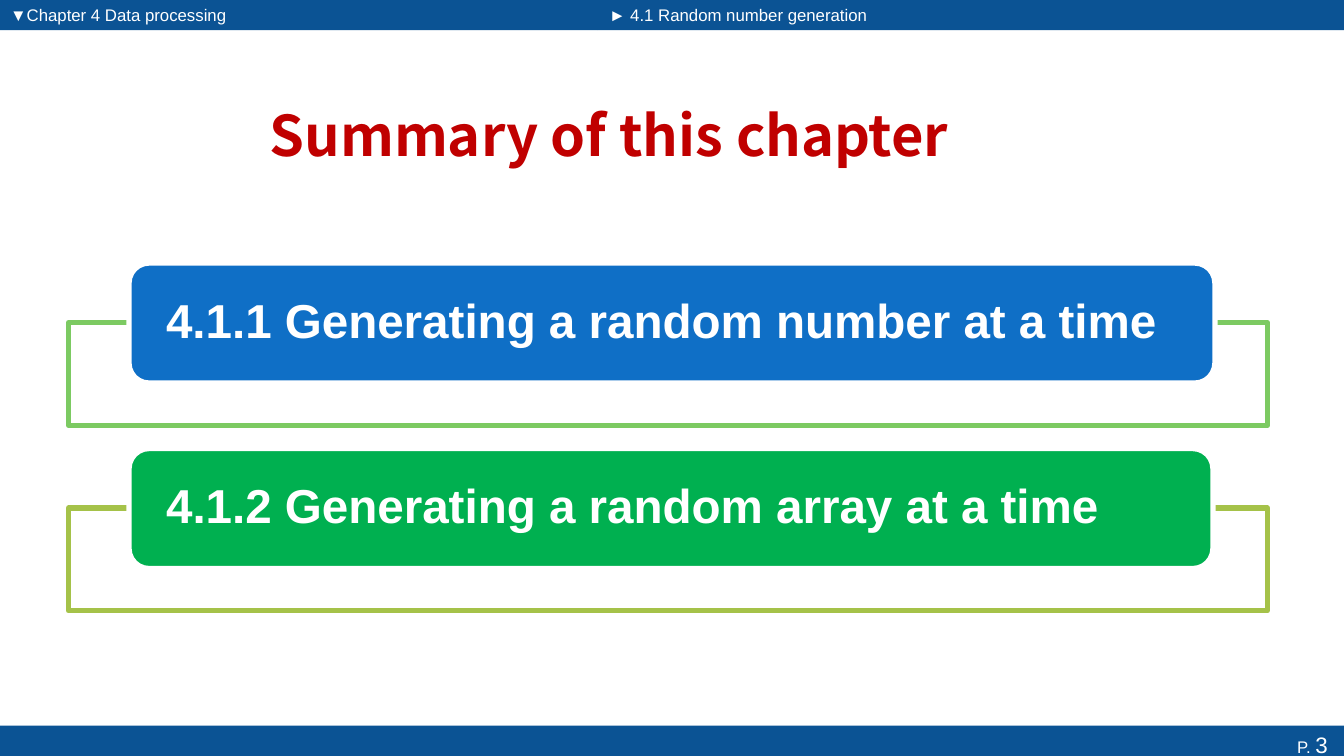
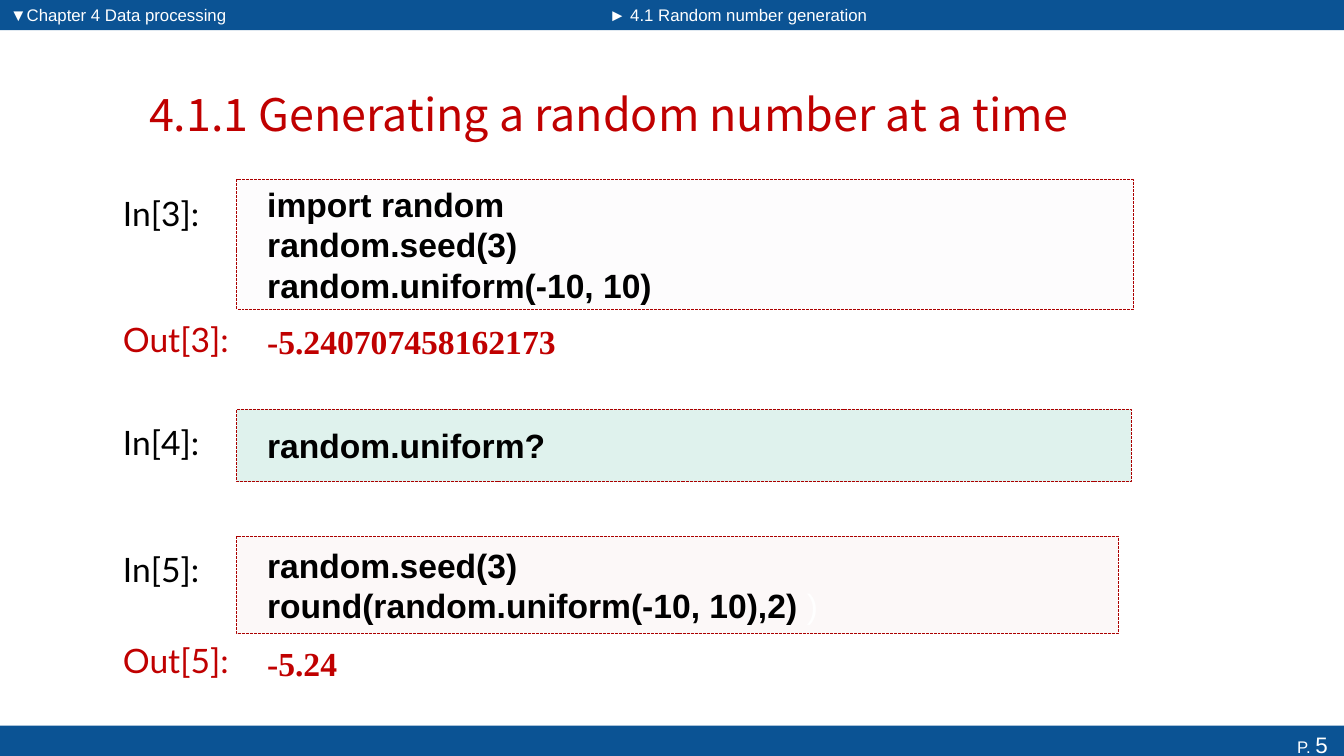
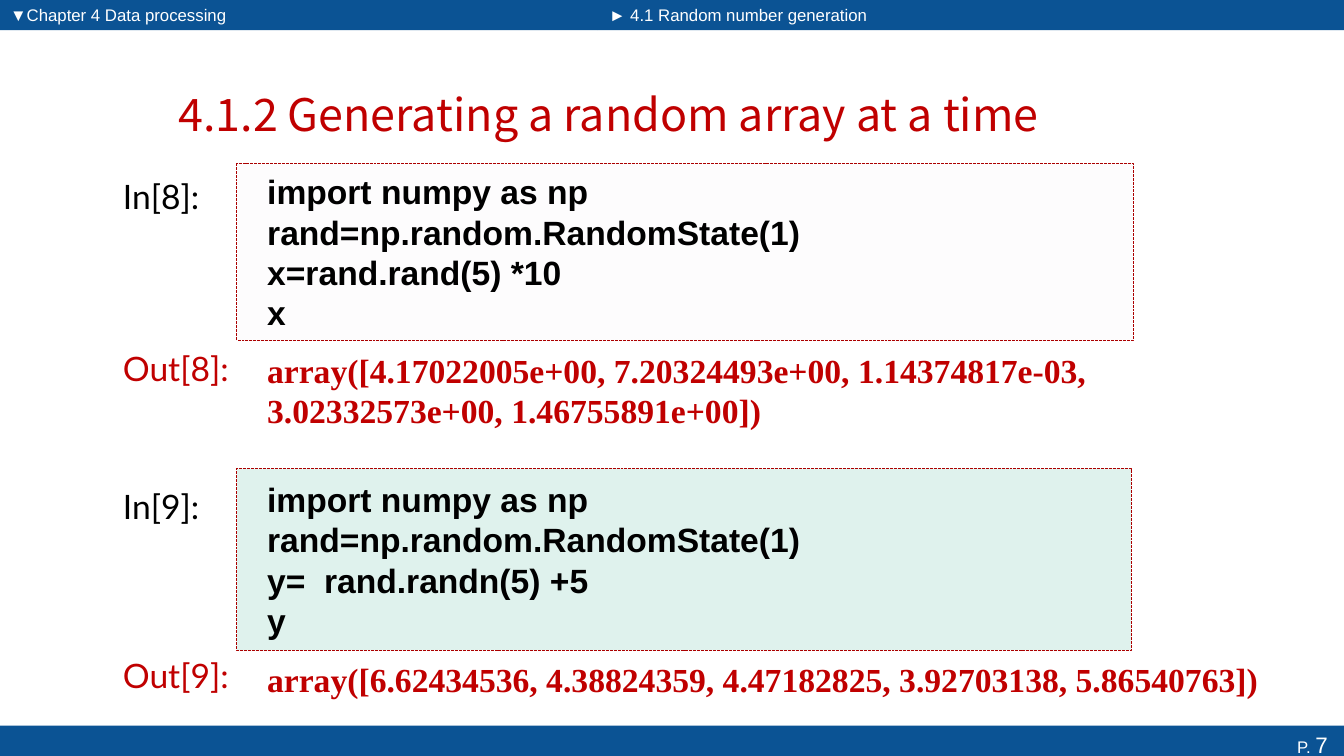
from lxml import etree
from pptx import Presentation
from pptx.dml.color import RGBColor
from pptx.enum.dml import MSO_LINE
from pptx.enum.shapes import MSO_SHAPE as SHAPE
from pptx.enum.text import MSO_ANCHOR as ANCHOR, MSO_AUTO_SIZE as AUTO, PP_ALIGN as ALIGN
from pptx.oxml.ns import qn
from pptx.util import Inches, Pt

NAVY = RGBColor(0x0B, 0x53, 0x94)
BLUE = RGBColor(0x0F, 0x6F, 0xC6)
GREEN = RGBColor(0x00, 0xB0, 0x50)
LIME = RGBColor(0x7C, 0xCA, 0x62)
OLIVE = RGBColor(0xA5, 0xC2, 0x49)
RED = RGBColor(0xC0, 0x00, 0x00)
DARK_RED = RGBColor(0xAB, 0x00, 0x00)
LILAC = RGBColor(0xF1, 0xEE, 0xF4)
TEAL = RGBColor(0x0C, 0x9B, 0x74)
PINK = RGBColor(0xED, 0xCD, 0xCB)
BLACK = RGBColor(0x00, 0x00, 0x00)
WHITE = RGBColor(0xFF, 0xFF, 0xFF)

SANS, LABEL, HEADING, SERIF = "Arial", "Lato", "Noto Sans CJK SC", "Times New Roman"
CODE_LEFT = 2.35
CODE_INSETS = (0.3, 0.05, 0.1, 0.05)


def write(tf, lines, size=24, font=SANS, color=BLACK, bold=False, align=ALIGN.LEFT,
          anchor=ANCHOR.TOP, insets=(0.1, 0.05, 0.1, 0.05), spacing=None, plain=False):
    """Fill a frame; a line is a string or a list of (text, changed format) runs."""
    tf.word_wrap = True
    tf.auto_size = AUTO.NONE
    tf.vertical_anchor = anchor
    tf.margin_left, tf.margin_top, tf.margin_right, tf.margin_bottom = map(Inches, insets)
    for i, line in enumerate(lines):
        p = tf.paragraphs[0] if i == 0 else tf.add_paragraph()
        if plain:  # drop the bullet and indent of the body placeholder
            pPr = p._p.get_or_add_pPr()
            pPr.set("marL", "0")
            pPr.set("indent", "0")
            etree.SubElement(pPr, qn("a:buNone"))
            p.space_before = Pt(0)
        p.alignment = align
        if spacing:
            p.line_spacing = spacing
        for text, change in [(line, {})] if isinstance(line, str) else line:
            r = p.add_run()
            r.text = text
            r.font.name = font
            r.font.size = Pt(change.get("size", size))
            r.font.bold = change.get("bold", bold)
            r.font.color.rgb = change.get("color", color)


class Deck:
    def __init__(self):
        self.prs = Presentation()
        self.prs.slide_width, self.prs.slide_height = Inches(13.33), Inches(7.5)
        self.s = None

    def slide(self, title, page, top=0.68, size=32, bold=False):
        self.s = self.prs.slides.add_slide(self.prs.slide_layouts[3])
        # Bands, behind the placeholders
        bands = [self.box(0, 0, 5.93, 0.3, NAVY), self.box(5.93, 0, 7.4, 0.3, NAVY),
                 self.box(0, 7.2, 13.33, 0.37, NAVY)]
        for i, sp in enumerate(bands):
            self.s.shapes.element.insert(2 + i, sp.element)
        write(bands[-1].text_frame, [[("P. ", {}), (f"{page} ", {"size": 16})]],
              size=12, color=WHITE, align=ALIGN.RIGHT)
        # Title and breadcrumbs
        heading, chapter, section = self.s.placeholders
        self.place(heading, 0.68, top, 10.72, 0.9)
        write(heading.text_frame, [title], size=size, font=HEADING, color=RED, bold=bold,
              align=ALIGN.CENTER, anchor=ANCHOR.MIDDLE)
        for sp, left, width, text in ((chapter, 0, 4.83, "▼Chapter 4 Data processing"),
                                      (section, 5.94, 3.2, "► 4.1 Random number generation")):
            self.place(sp, left, 0, width, 0.3)
            write(sp.text_frame, [text], size=12, color=WHITE, plain=True)

    def place(self, sp, left, top, width, height):
        sp.left, sp.top, sp.width, sp.height = map(Inches, (left, top, width, height))

    def box(self, left, top, width, height, fill, alpha=100, line=None, weight=1,
            dash=None, kind=SHAPE.RECTANGLE):
        sp = self.s.shapes.add_shape(kind, *map(Inches, (left, top, width, height)))
        sp.shadow.inherit = False
        sp.fill.solid()
        sp.fill.fore_color.rgb = fill
        if alpha < 100:
            clr = sp.element.spPr.find(qn("a:solidFill"))[0]
            etree.SubElement(clr, qn("a:alpha")).set("val", str(alpha * 1000))
        if line is None:
            sp.line.fill.background()
        else:
            sp.line.color.rgb = line
            sp.line.width = Pt(weight)
            sp.line.dash_style = dash
        return sp

    def text(self, left, top, width, height, lines, **fmt):
        sp = self.s.shapes.add_textbox(*map(Inches, (left, top, width, height)))
        write(sp.text_frame, lines, **fmt)

    def topic(self, text, top, width, fill, frame):
        """A rounded bar in front of an outlined frame."""
        self.box(0.68, top + 0.59, 11.89, 1.02, WHITE, alpha=90, line=frame, weight=3.78)
        sp = self.box(1.28, top, width, 1.19, fill, line=WHITE, weight=3.78,
                      kind=SHAPE.ROUNDED_RECTANGLE)
        write(sp.text_frame, [text], size=34, color=WHITE, bold=True, anchor=ANCHOR.MIDDLE,
              insets=(0.31, 0, 0.31, 0), spacing=0.9)

    def code(self, n, top, width, height, fill, lines, drop=0.08):
        """An input cell; its label starts a little below the top of the box."""
        self.text(1.12, top + drop, 1.12, 0.5, [f"In[{n}]:"], font=LABEL)
        sp = self.box(CODE_LEFT, top, width, height, fill, alpha=13, line=DARK_RED,
                      weight=0.7, dash=MSO_LINE.SQUARE_DOT)
        write(sp.text_frame, lines, bold=True, anchor=ANCHOR.MIDDLE, insets=CODE_INSETS)

    def output(self, n, label_top, top, height, text, width=8.74):
        self.text(1.12, label_top, 1.35, 0.5, [f"Out[{n}]:"], font=LABEL, color=RED)
        self.text(CODE_LEFT, top, width, height, [text], font=SERIF, color=RED, bold=True,
                  anchor=ANCHOR.MIDDLE, insets=CODE_INSETS)


def main():
    deck = Deck()
    number_title = "4.1.1 Generating a random number at a time"
    array_title = "4.1.2 Generating a random array at a time"
    array_setup = ["import numpy as np", "rand=np.random.RandomState(1)"]

    # Summary
    deck.slide("Summary of this chapter", 3, top=0.88, size=40, bold=True)
    deck.topic(number_title, 2.61, 10.77, BLUE, LIME)
    deck.topic(array_title, 4.45, 10.75, GREEN, OLIVE)

    # Random number
    deck.slide(number_title, 5)
    deck.code(3, 1.78, 8.89, 1.29, LILAC,
              ["import random", "random.seed(3)", "random.uniform(-10, 10)"])
    deck.output(3, 3.11, 2.96, 0.85, "-5.240707458162173")
    deck.code(4, 4.06, 8.87, 0.72, TEAL, ["random.uniform?"])
    deck.code(5, 5.32, 8.74, 0.97, PINK,
              ["random.seed(3)", [("round(random.uniform(-10, 10),2) ", {}),
                                  (")", {"color": WHITE, "bold": False})]])
    deck.output(5, 6.3, 6.25, 0.65, "-5.24")

    # Random array
    deck.slide(array_title, 7)
    deck.code(8, 1.62, 8.89, 1.76, LILAC, array_setup + ["x=rand.rand(5) *10", "x"])
    deck.output(8, 3.4, 3.36, 1.02, "array([4.17022005e+00, 7.20324493e+00, 1.14374817e-03, "
                "3.02332573e+00, 1.46755891e+00])")
    deck.code(9, 4.65, 8.87, 1.8, TEAL, array_setup + ["y=  rand.randn(5) +5", "y"], drop=0.12)
    deck.output(9, 6.45, 6.33, 0.81, "array([6.62434536, 4.38824359, 4.47182825, "
                "3.92703138, 5.86540763])", width=10.54)

    deck.prs.save("out.pptx")


if __name__ == "__main__":
    main()
